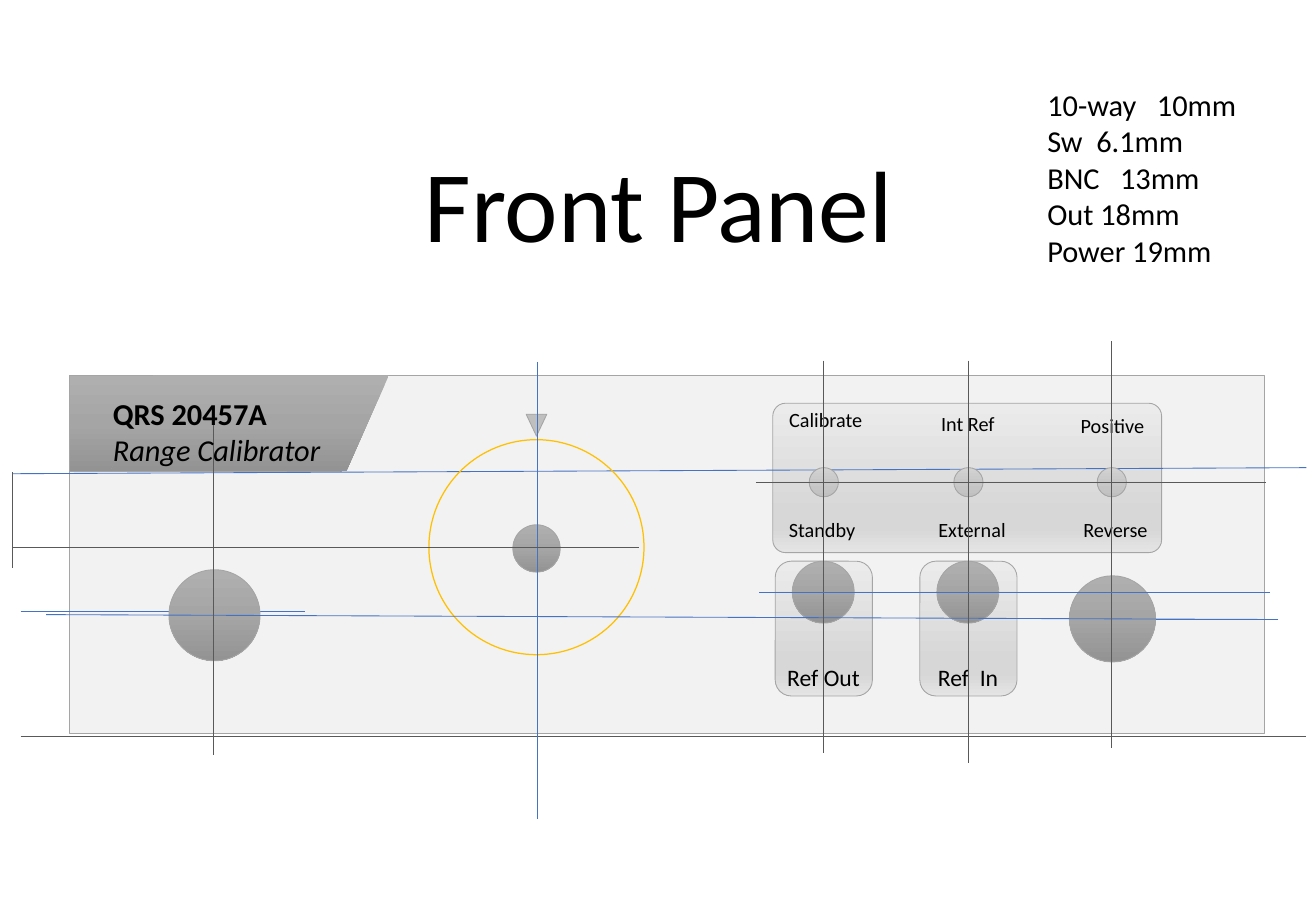
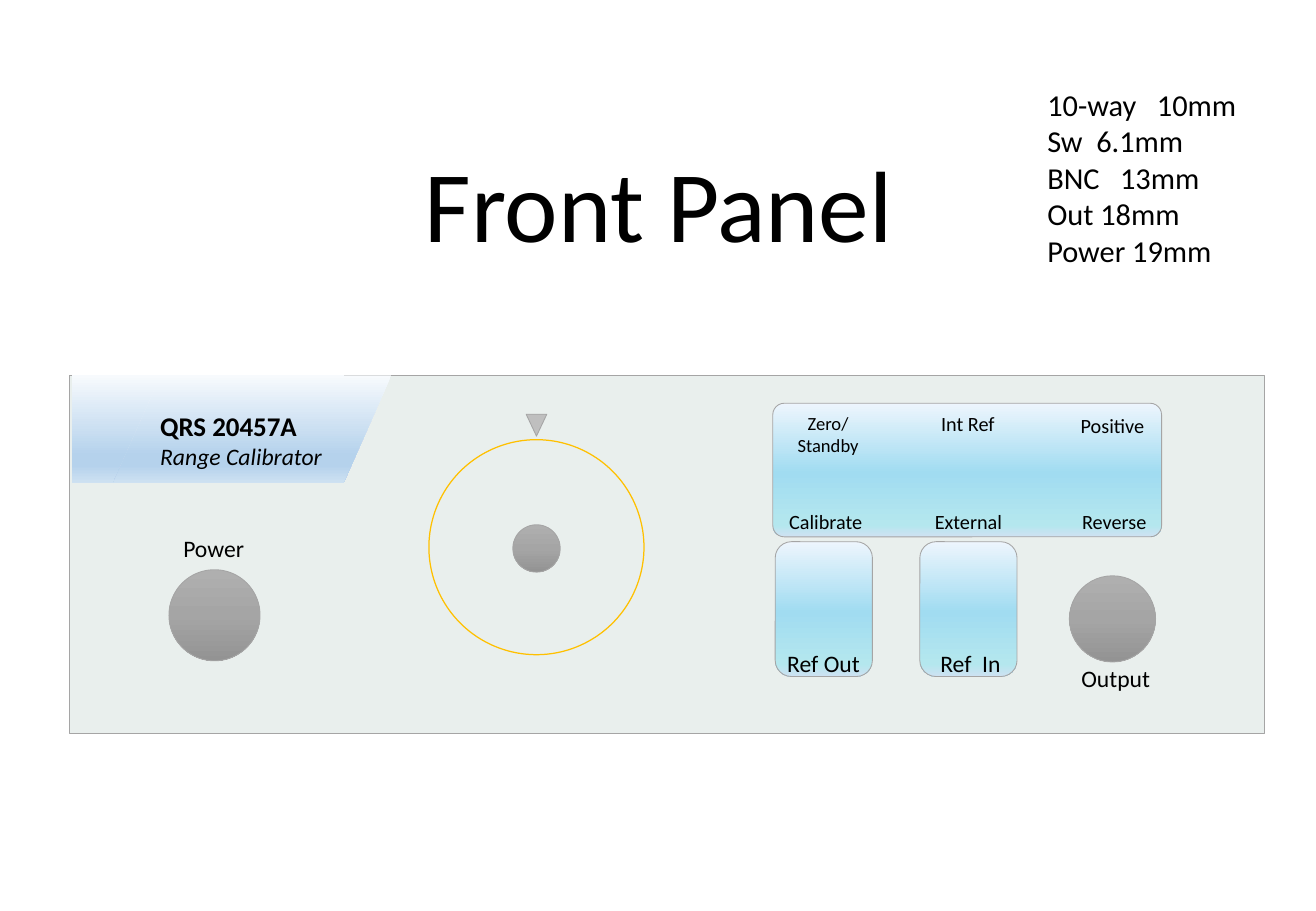
from dataclasses import dataclass

from lxml.etree import SubElement
from pptx import Presentation
from pptx.dml.color import RGBColor
from pptx.enum.shapes import MSO_CONNECTOR, MSO_SHAPE
from pptx.enum.text import MSO_ANCHOR, MSO_AUTO_SIZE, PP_ALIGN
from pptx.oxml.ns import qn
from pptx.util import Inches, Pt


@dataclass(frozen=True)
class Theme:
    font: str = "Calibri"
    ink: str = "000000"
    outline: str = "A5A5A5"
    guide: str = "4472C4"
    measure: str = "595959"
    dial: str = "FFC000"
    pointer: str = "BFBFBF"
    grey_panel: str = "F2F2F2"
    green_panel: str = "E9EFED"
    # Gradients run from top to bottom: (percent, colour)
    knob: tuple = ((0, "AFAFAF"), (50, "A5A5A5"), (100, "939393"))
    switch: tuple = ((0, "D2D2D2"), (50, "C8C8C8"), (100, "C0C0C0"))
    silver: tuple = ((0, "EBEBEB"), (74, "D7D7D7"), (83, "D7D7D7"), (100, "E4E4E4"))
    sky: tuple = ((0, "F7FAFD"), (74, "B5D2EC"), (83, "B5D2EC"), (100, "CEE1F2"))
    aqua: tuple = ((0, "EDF5FD"), (52, "A1DCF1"), (91, "B4E7EE"), (100, "CEE1F2"))
    title_size: int = 60
    large: int = 18
    name: int = 16
    medium: int = 14
    small: int = 12
    tiny: int = 11
    thin: float = 0.5
    ring: float = 0.75


THEME = Theme()
COLUMNS = (6.78, 7.97, 9.15)  # centres of the switch columns
PANEL = (0.57, 3.09, 9.84, 2.95)
HOLES = ("10-way   10mm", "Sw  6.1mm", "BNC   13mm", "Out 18mm", "Power 19mm")
MODEL = ("QRS 20457A", "Range Calibrator")


def color(code):
    return RGBColor.from_string(code)


def fill_gradient(shape, stops):
    shape.fill.gradient()
    shape.fill.gradient_angle = 270
    stop_list = shape._element.spPr.find(qn("a:gradFill")).find(qn("a:gsLst"))
    for old_stop in list(stop_list):
        stop_list.remove(old_stop)
    for percent, code in stops:
        stop = SubElement(stop_list, qn("a:gs"), pos=str(percent * 1000))
        SubElement(stop, qn("a:srgbClr"), val=code)


def add_form(page, kind, place, fill=None, line=THEME.outline, width=THEME.thin, bend=None):
    """Add a preset shape; fill is a colour, gradient stops or None."""
    shape = page.shapes.add_shape(kind, *map(Inches, place))
    shape.shadow.inherit = False
    if bend is not None:
        shape.adjustments[0] = bend
    if fill is None:
        shape.fill.background()
    elif isinstance(fill, str):
        shape.fill.solid()
        shape.fill.fore_color.rgb = color(fill)
    else:
        fill_gradient(shape, fill)
    if line is None:
        shape.line.fill.background()
    else:
        shape.line.color.rgb = color(line)
        shape.line.width = Pt(width)
    return shape


def add_circle(page, left, top, size, fill, **style):
    return add_form(page, MSO_SHAPE.OVAL, (left, top, size, size), fill, **style)


def add_line(page, start, end, code):
    line = page.shapes.add_connector(
        MSO_CONNECTOR.STRAIGHT, *map(Inches, (*start, *end)))
    line.line.color.rgb = color(code)
    line.line.width = Pt(THEME.thin)
    SubElement(line._element.spPr, qn("a:effectLst"))


def style_font(para, size, bold=False, italic=False):
    para.font.name = THEME.font
    para.font.size = Pt(size)
    para.font.color.rgb = color(THEME.ink)
    para.font.bold = bold
    para.font.italic = italic


def add_text(page, place, lines, size, align=PP_ALIGN.LEFT, wrap=False):
    box = page.shapes.add_textbox(*map(Inches, place))
    frame = box.text_frame
    frame.word_wrap = wrap
    frame.auto_size = MSO_AUTO_SIZE.SHAPE_TO_FIT_TEXT
    frame.text = "\n".join(lines)
    for para in frame.paragraphs:
        para.alignment = align
        style_font(para, size)
    return box


def add_label(page, place, *lines, size=THEME.small, wrap=False):
    add_text(page, place, lines, size, PP_ALIGN.CENTER, wrap)


def add_model(page, place, name_size, detail_size):
    box = add_text(page, place, MODEL, name_size, wrap=True)
    name, detail = box.text_frame.paragraphs
    style_font(name, name_size, bold=True)
    style_font(detail, detail_size, italic=True)


def add_page(deck):
    """Start a page with its title and the list of hole sizes."""
    page = deck.slides.add_slide(deck.slide_layouts[0])
    subtitle = page.placeholders[1]._element
    subtitle.getparent().remove(subtitle)

    title = page.shapes.title
    title.left, title.top, title.width, title.height = map(Inches, (0.42, 1.23, 10, 1))
    title.text = "Front Panel"
    title.text_frame.auto_size = MSO_AUTO_SIZE.NONE
    title.text_frame.vertical_anchor = MSO_ANCHOR.BOTTOM
    para = title.text_frame.paragraphs[0]
    para.alignment = PP_ALIGN.CENTER
    para.line_spacing = 0.9
    style_font(para, THEME.title_size)

    add_text(page, (8.52, 0.66, 1.78, 1.62), HOLES, THEME.large)
    return page


def add_panel(page, fill, banner, banner_left, banner_height, banner_line):
    """Add the panel face with its slanted name banner."""
    add_form(page, MSO_SHAPE.RECTANGLE, PANEL, fill)
    add_form(page, MSO_SHAPE.PARALLELOGRAM, (banner_left, 3.09, 2.24, banner_height),
             banner, banner_line, bend=0)
    add_form(page, MSO_SHAPE.PARALLELOGRAM, (banner_left + 0.34, 3.09, 2.29, banner_height),
             banner, None, bend=0.444)


def add_groups(page, fill, switch_height, reference_top):
    """Add the rounded fields behind the switches and the reference sockets."""
    add_form(page, MSO_SHAPE.ROUNDED_RECTANGLE, (6.36, 3.32, 3.2, switch_height),
             fill, bend=0.086)
    for center in COLUMNS[:2]:
        add_form(page, MSO_SHAPE.ROUNDED_RECTANGLE,
                 (center - 0.4, reference_top, 0.8, 1.11), fill)


def add_controls(page):
    """Add the dial, its pointer and the knobs found on both pages."""
    add_circle(page, 8.8, 4.74, 0.71, THEME.knob)
    add_circle(page, 4.22, 4.32, 0.39, THEME.knob)
    add_circle(page, 3.53, 3.62, 1.77, None, line=THEME.dial, width=THEME.ring)
    pointer = add_form(page, MSO_SHAPE.ISOSCELES_TRIANGLE, (4.33, 3.41, 0.17, 0.18),
                       THEME.pointer)
    pointer.rotation = 180
    add_circle(page, 1.39, 4.69, 0.75, THEME.knob)


def add_shared_labels(page, reference_top, reference_in_left):
    add_text(page, (6.38, reference_top, 0.81, 0.34), ["Ref Out"], THEME.medium)
    add_text(page, (reference_in_left, reference_top, 0.7, 0.34), ["Ref  In"], THEME.medium)
    add_label(page, (7.5, 3.34, 0.93, 1.11), "Int Ref", wrap=True)
    add_label(page, (8.75, 3.35, 0.81, 0.91), "Positive", wrap=True)


def build_drilling_page(deck):
    page = add_page(deck)
    add_panel(page, THEME.grey_panel, THEME.knob, 0.57, 0.79, THEME.outline)
    add_groups(page, THEME.silver, 1.23, 4.62)

    # Guides behind the controls
    for start, end, code in (
        ((0.17, 6.06), (10.75, 6.06), THEME.measure),
        ((0.1, 3.9), (10.75, 3.85), THEME.guide),
        ((0.1, 3.89), (0.1, 4.68), THEME.measure),
        ((0.17, 5.03), (2.51, 5.03), THEME.guide),
        ((10.52, 5.1), (8.81, 5.1), THEME.guide),
    ):
        add_line(page, start, end, code)

    # Sockets, switches and labels
    for center in COLUMNS[:2]:
        add_circle(page, center - 0.26, 4.62, 0.51, THEME.knob)
    for center in COLUMNS:
        add_circle(page, center - 0.12, 3.85, 0.24, THEME.switch)
    add_controls(page)
    add_shared_labels(page, 5.41, 7.62)
    add_label(page, (6.39, 3.3, 0.81, 1.11), "Calibrate", wrap=True)
    for text, left, width in (("Standby", 6.39, 0.75), ("External", 7.62, 0.76),
                              ("Reverse", 8.81, 0.74)):
        add_label(page, (left, 4.21, width, 0.3), text)

    # Centre lines in front of the controls
    add_line(page, (10.45, 5.1), (0.38, 5.06), THEME.guide)
    for x, top, bottom, code in (
        (1.76, 3.5, 6.22, THEME.measure),
        (4.42, 2.98, 6.74, THEME.guide),
        (COLUMNS[2], 2.81, 6.16, THEME.measure),
        (COLUMNS[1], 2.97, 6.28, THEME.measure),
        (COLUMNS[0], 2.97, 6.2, THEME.measure),
    ):
        add_line(page, (x, top), (x, bottom), code)
    for y, left, right, code in (
        (4.51, 0.1, 5.26, THEME.measure),
        (4.88, 6.25, 10.45, THEME.guide),
        (3.97, 6.22, 10.42, THEME.measure),
    ):
        add_line(page, (left, y), (right, y), code)
    add_model(page, (0.83, 3.2, 2.18, 0.71), THEME.large, THEME.large)


def build_finished_page(deck):
    page = add_page(deck)
    add_panel(page, THEME.green_panel, THEME.sky, 0.59, 0.89, None)
    add_groups(page, THEME.aqua, 1.1, 4.46)
    add_controls(page)

    # Labels
    add_shared_labels(page, 5.29, 7.64)
    add_label(page, (6.38, 3.34, 0.87, 1.31), "Zero/", "Standby", size=THEME.tiny, wrap=True)
    for text, left, width in (("Calibrate", 6.39, 0.81), ("External", 7.59, 0.76),
                              ("Reverse", 8.8, 0.74)):
        add_label(page, (left, 4.14, width, 0.3), text)
    add_model(page, (1.22, 3.32, 1.77, 0.61), THEME.name, THEME.medium)
    add_text(page, (1.41, 4.35, 0.71, 0.34), ["Power"], THEME.medium)
    add_text(page, (8.8, 5.42, 0.78, 0.34), ["Output"], THEME.medium)


def main():
    deck = Presentation()
    deck.slide_width, deck.slide_height = Inches(10.83), Inches(7.5)
    build_drilling_page(deck)
    build_finished_page(deck)
    deck.save("out.pptx")


main()
